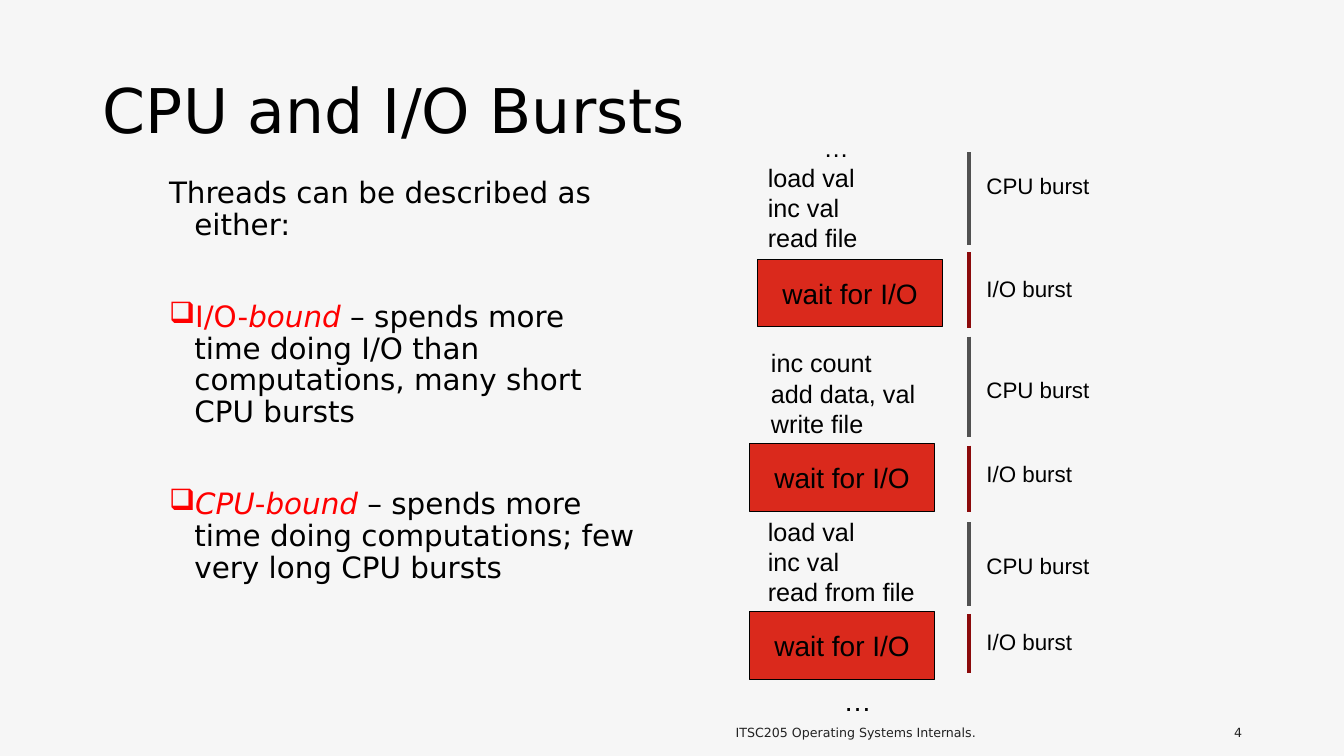
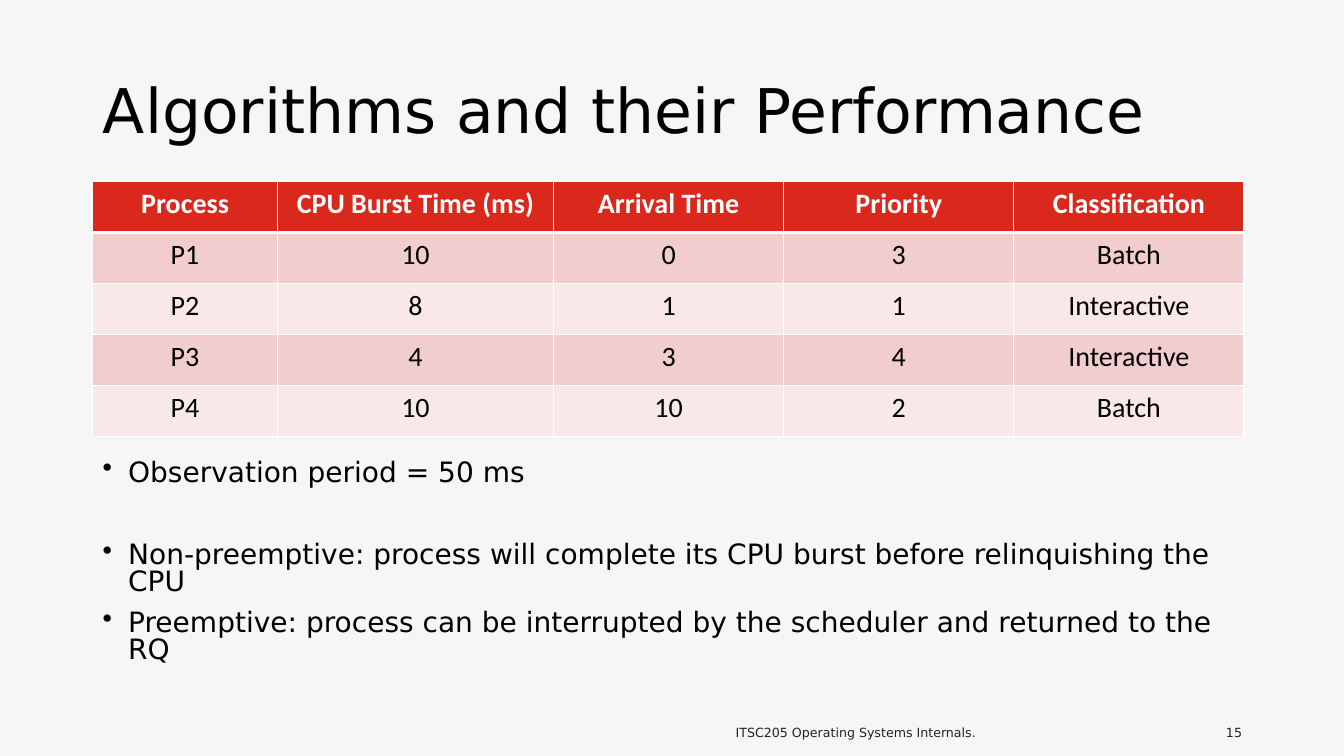
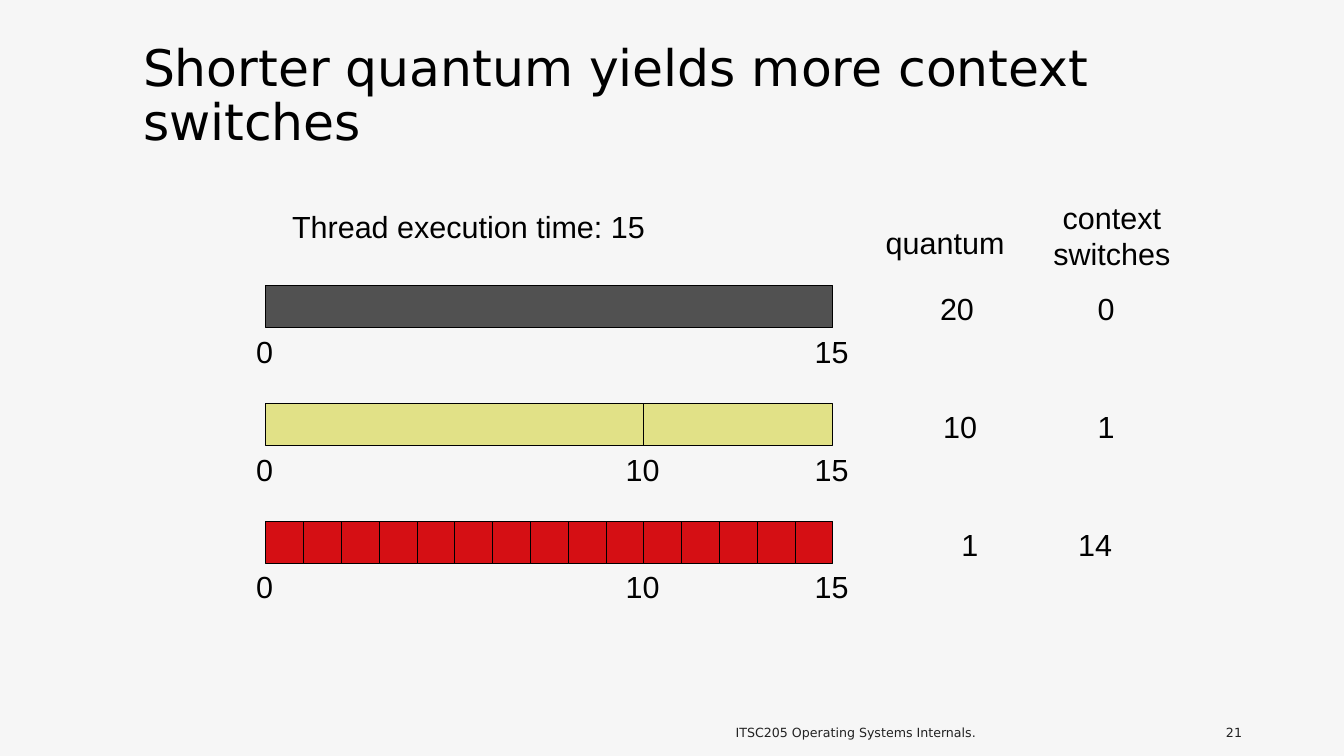
import lxml.etree
import pptx
import pptx.dml.color
import pptx.enum.shapes
import pptx.enum.text
import pptx.oxml.ns
import pptx.util

Cm = pptx.util.Cm
Pt = pptx.util.Pt
ALIGN = pptx.enum.text.PP_ALIGN
ANCHOR = pptx.enum.text.MSO_ANCHOR
FIT = pptx.enum.text.MSO_AUTO_SIZE

HEADING_FONT, LABEL_FONT, TABLE_FONT = "DejaVu Sans", "Arial", "Calibri"
BLACK, WHITE, PAPER, FOOTER_GRAY = "000000", "FFFFFF", "F6F6F6", "222222"
RED, TERM_RED, IO_RED, SLICE_RED = "DA291C", "FF0000", "8B0A0B", "D50F14"
GRAY, YELLOW = "515151", "E1E187"
ROW_TINTS = ("F1CDCD", "F8E8E8")
TITLE_PLACE = (2.34, 1.02, 29.21, 3.68)
FOOTER = "ITSC205 Operating Systems Internals."


def color(value):
    """Turn a hex string into a colour."""
    return pptx.dml.color.RGBColor.from_string(value)


def lengths(place):
    """Turn centimetres into lengths."""
    return [Cm(value) for value in place]


def child(parent, tag, **attributes):
    """Append a drawing element with the given attributes."""
    return lxml.etree.SubElement(parent, pptx.oxml.ns.qn(tag), attributes)


def style(span, size, font, ink=BLACK, bold=False, italic=False):
    """Format one run."""
    span.font.size = Pt(size)
    span.font.name = font
    span.font.color.rgb = color(ink)
    span.font.bold = bold
    span.font.italic = italic


def fill_text(frame, text, size, font, ink=BLACK, align=ALIGN.LEFT, bold=False):
    """Set the text of a frame and format all its runs."""
    frame.text = text
    for para in frame.paragraphs:
        para.alignment = align
        for span in para.runs:
            style(span, size, font, ink, bold)


def add_page(deck, title, number, place=TITLE_PLACE, size=44):
    """Add a slide with its title, footer and number."""
    page = deck.slides.add_slide(deck.slide_layouts[5])
    heading = page.shapes.title
    heading.left, heading.top, heading.width, heading.height = lengths(place)
    frame = heading.text_frame
    frame.auto_size = FIT.NONE
    frame.vertical_anchor = ANCHOR.MIDDLE
    fill_text(frame, title, size, HEADING_FONT)
    frame.paragraphs[0].line_spacing = 0.9
    add_footer(page, FOOTER, (14.53, 17.75, 14.07, 1.02), ALIGN.CENTER)
    add_footer(page, str(number), (29.11, 17.75, 2.44, 1.02), ALIGN.RIGHT)
    return page


def add_footer(page, text, place, align):
    """Add a small text at the foot of the slide."""
    frame = page.shapes.add_textbox(*lengths(place)).text_frame
    frame.word_wrap = True
    frame.vertical_anchor = ANCHOR.BOTTOM
    fill_text(frame, text, 9, HEADING_FONT, FOOTER_GRAY, align)


def add_label(page, text, place, size, align=ALIGN.LEFT):
    """Add an unwrapped text that fits its box."""
    box = page.shapes.add_textbox(*lengths(place))
    box.text_frame.word_wrap = False
    box.text_frame.auto_size = FIT.SHAPE_TO_FIT_TEXT
    fill_text(box.text_frame, text, size, LABEL_FONT, align=align)
    return box


def add_block(page, place, fill):
    """Add an outlined rectangle."""
    block = page.shapes.add_shape(
        pptx.enum.shapes.MSO_SHAPE.RECTANGLE, *lengths(place))
    block.shadow.inherit = False
    block.fill.solid()
    block.fill.fore_color.rgb = color(fill)
    block.line.color.rgb = color(BLACK)
    block.line.width = Pt(0.75)
    return block


def add_rule(page, x, top, bottom, ink):
    """Add a thick vertical line."""
    rule = page.shapes.add_connector(
        pptx.enum.shapes.MSO_CONNECTOR.STRAIGHT, *lengths((x, top, x, bottom)))
    rule.line.color.rgb = color(ink)
    rule.line.width = Pt(3)
    child(rule._element.spPr, "a:effectLst")


def add_body(page, place, items, size, line_spacing):
    """Add hanging paragraphs given as bullet, space before and runs."""
    frame = page.shapes.add_textbox(*lengths(place)).text_frame
    frame.word_wrap = True
    for index, (bullet, space, spans) in enumerate(items):
        para = frame.add_paragraph() if index else frame.paragraphs[0]
        para.line_spacing = line_spacing
        para.space_before = Pt(space)
        properties = para._p.get_or_add_pPr()
        properties.set("marL", str(Cm(0.64)))
        properties.set("indent", str(Cm(-0.64)))
        if bullet:
            child(properties, "a:buChar", char=bullet)
        for text, ink, italic in spans:
            span = para.add_run()
            span.text = text
            style(span, size, HEADING_FONT, ink, italic=italic)


def add_borders(cell, top, bottom):
    """Give a cell white borders with the given top and bottom widths."""
    properties = cell._tc.get_or_add_tcPr()
    for side, width in (("L", 1), ("R", 1), ("T", top), ("B", bottom)):
        line = child(properties, f"a:ln{side}", w=str(Pt(width)))
        child(child(line, "a:solidFill"), "a:srgbClr", val=WHITE)


def add_grid(page, place, widths, rows):
    """Add a table with a red header and tinted rows."""
    table = page.shapes.add_table(len(rows), len(widths), *lengths(place)).table
    for column, width in zip(table.columns, widths):
        column.width = Cm(width)
    for index, row in enumerate(rows):
        header = index == 0
        for position, text in enumerate(row):
            cell = table.cell(index, position)
            add_borders(cell, 3 if index == 1 else 1, 3 if header else 1)
            cell.fill.solid()
            cell.fill.fore_color.rgb = color(RED if header else ROW_TINTS[(index - 1) % 2])
            fill_text(cell.text_frame, text, 20, TABLE_FONT,
                      WHITE if header else BLACK, ALIGN.CENTER, header)


def build_bursts(deck):
    """Build the slide on CPU and I/O bursts."""
    page = add_page(deck, "CPU and I/O Bursts", 4)
    add_body(page, (4.01, 4.37, 12.27, 11.38), [
        (None, 0, [("Threads can be described as either:", BLACK, False)]),
        ("❑", 43, [("I/O-", TERM_RED, False), ("bound ", TERM_RED, True),
                   ("– spends more time doing I/O than computations, "
                    "many short CPU bursts", BLACK, False)]),
        ("❑", 43, [("CPU", TERM_RED, True), ("-", TERM_RED, False),
                   ("bound ", TERM_RED, True),
                   ("– spends more time doing computations; "
                    "few very long CPU bursts", BLACK, False)]),
    ], 21, 0.9)

    first = add_label(page, "…\nload val\ninc val\nread file", (19.1, 3.2, 2.79, 3.33), 18)
    first.text_frame.paragraphs[0]._p.get_or_add_pPr().set("marL", str(Cm(1.41)))
    add_label(page, "inc count\nadd data, val\nwrite file", (19.18, 8.64, 4.19, 2.57), 18)
    add_label(page, "load val\ninc val\nread from file", (19.1, 12.88, 4.24, 2.57), 18)
    add_label(page, "…", (21.01, 17.09, 1.22, 1.12), 20)

    for left, top in ((19.1, 6.53), (18.9, 11.18), (18.9, 15.42)):
        frame = add_block(page, (left, top, 4.65, 1.7), RED).text_frame
        frame.word_wrap = False
        frame.vertical_anchor = ANCHOR.MIDDLE
        fill_text(frame, "wait for I/O", 20, LABEL_FONT, align=ALIGN.CENTER)

    kinds = {"CPU burst": (GRAY, 3.15), "I/O burst": (IO_RED, 2.72)}
    for text, top, bottom, label_top in (
            ("CPU burst", 3.84, 6.17, 4.22), ("I/O burst", 6.35, 8.26, 6.81),
            ("CPU burst", 8.48, 11.02, 9.35), ("I/O burst", 11.23, 12.9, 11.46),
            ("CPU burst", 13.16, 15.27, 13.79), ("I/O burst", 15.47, 16.97, 15.7)):
        ink, width = kinds[text]
        add_rule(page, 24.41, top, bottom, ink)
        add_label(page, text, (24.61, label_top, width, 0.94), 16)


def build_algorithms(deck):
    """Build the slide with the process table."""
    page = add_page(deck, "Algorithms and their Performance", 15)
    add_grid(page, (2.34, 4.57, 29, 6.43), (4.65, 6.96, 5.8, 5.8, 5.8), (
        ("Process", "CPU Burst Time (ms)", "Arrival Time", "Priority", "Classification"),
        ("P1", "10", "0", "3", "Batch"),
        ("P2", "8", "1", "1", "Interactive"),
        ("P3", "4", "3", "4", "Interactive"),
        ("P4", "10", "10", "2", "Batch"),
    ))
    notes = (
        (0, "Observation period = 50 ms"),
        (40, "Non-preemptive: process will complete its CPU burst before relinquishing the CPU"),
        (10, "Preemptive: process can be interrupted by the scheduler and returned to the RQ"),
    )
    add_body(page, (2.34, 11.48, 29.21, 5.69),
             [("•", space, [(text, BLACK, False)]) for space, text in notes], 20, 0.8)


def build_quantum(deck):
    """Build the slide comparing three quantum lengths."""
    page = add_page(deck, "Shorter quantum yields more context switches", 21,
                    (3.35, 0.86, 29.57, 3.18), 36)
    size, duration, bar_left, bar_height, text_height = 21.8, 15, 6.7, 1.07, 1.19
    unit = 14.29 / duration
    add_label(page, f"Thread execution time: {duration}", (7.11, 5.11, 9.53, text_height), size)
    add_label(page, "quantum", (22.07, 5.51, 3.56, text_height), size)
    add_label(page, "context\vswitches", (26.26, 4.88, 3.53, 2.13), size, ALIGN.CENTER)

    def add_number(value, left, top, centered=False):
        """Add a number starting or centred at the given place."""
        width = 0.99 if value < 10 else 1.42
        left -= width / 2 if centered else 0
        add_label(page, str(value), (left, top, width, text_height), size)

    for index, (quantum, fill, ticks, quantum_left, switches_left) in enumerate((
            (20, GRAY, (0, 15), 23.44, 27.41),
            (10, YELLOW, (0, 10, 15), 23.52, 27.41),
            (1, SLICE_RED, (0, 10, 15), 23.98, 26.92))):
        top = 7.19 + 2.97 * index
        starts = range(0, duration, quantum)
        for start in starts:
            width = min(quantum, duration - start) * unit
            add_block(page, (bar_left + start * unit, top, width, bar_height), fill)
        for tick in ticks:
            add_number(tick, bar_left + tick * unit, top + bar_height, True)
        add_number(quantum, quantum_left, top)
        add_number(len(starts) - 1, switches_left, top)


def main():
    """Build and save the deck."""
    deck = pptx.Presentation()
    deck.slide_width, deck.slide_height = Cm(33.87), Cm(19.05)
    backdrop = deck.slide_master.background.fill
    backdrop.solid()
    backdrop.fore_color.rgb = color(PAPER)
    build_bursts(deck)
    build_algorithms(deck)
    build_quantum(deck)
    deck.save("out.pptx")


if __name__ == "__main__":
    main()
